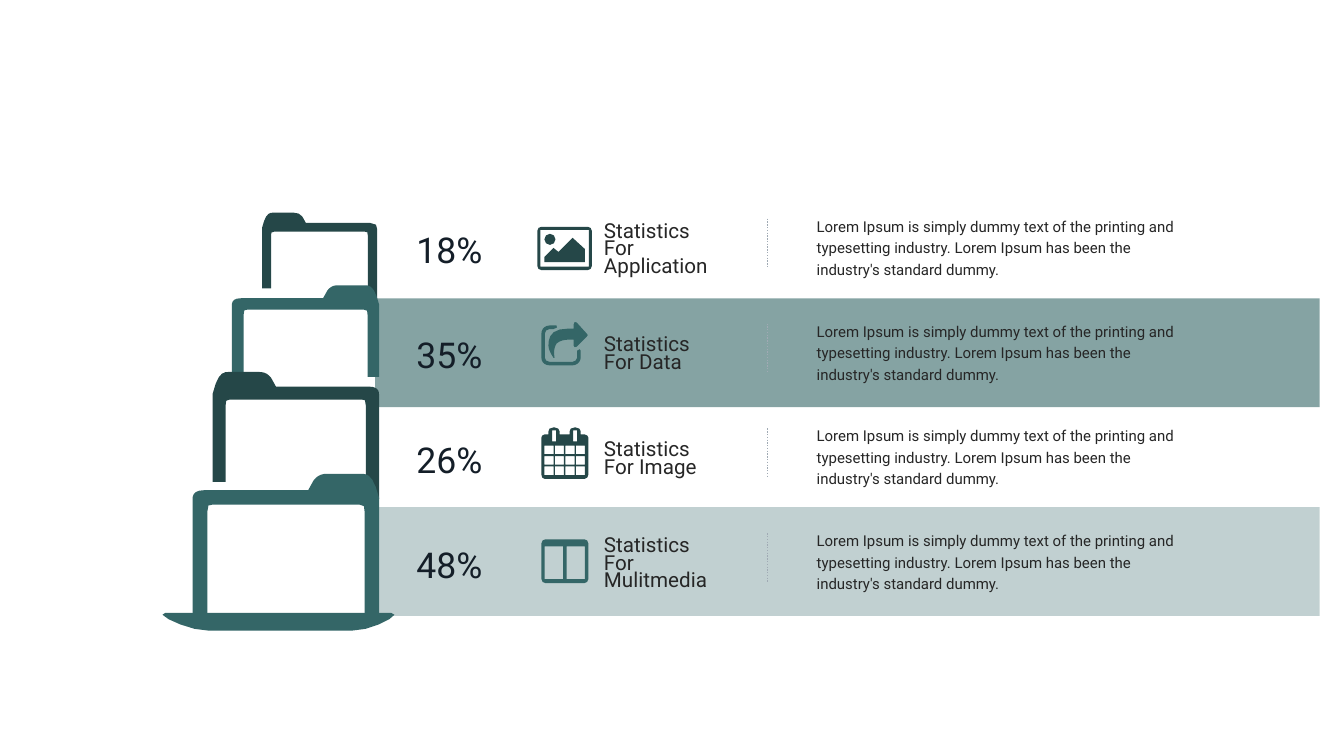
from lxml import etree
from math import dist
from pptx import Presentation
from pptx.dml.color import RGBColor
from pptx.enum.dml import MSO_LINE
from pptx.enum.shapes import MSO_CONNECTOR, MSO_SHAPE
from pptx.enum.text import MSO_ANCHOR
from pptx.oxml.ns import qn
from pptx.util import Inches, Pt

RECTANGLE = MSO_SHAPE.RECTANGLE
STRAIGHT = MSO_CONNECTOR.STRAIGHT
MIDDLE = MSO_ANCHOR.MIDDLE
DOTTED = MSO_LINE.ROUND_DOT

TEAL = RGBColor(0x34, 0x66, 0x67)
DARK_TEAL = RGBColor(0x25, 0x47, 0x48)
NAVY = RGBColor(0x14, 0x1E, 0x28)
CHARCOAL = RGBColor(0x26, 0x26, 0x26)
GREY = RGBColor(0xA0, 0xAA, 0xB4)
FONT = "Roboto"

ROW_LEFT, ROW_TOP, ROW_PITCH = 4.13, 2.13, 1.04
DESCRIPTION = ("Lorem Ipsum is simply dummy text of the printing and typesetting industry. "
               "Lorem Ipsum has been the industry's standard dummy.")
ROWS = [("18%", "For Application"), ("35%", "For Data"),
        ("26%", "For Image"), ("48%", "For Mulitmedia")]

# Top and opacity in percent
BANDS = [(5.03, 30), (2.96, 60)]

# Left, top, width, leg on the tab side, far leg, tab on the left, colour
FOLDERS = [(2.6, 2.11, 1.14, 0.75, 0.92, True, DARK_TEAL),
           (2.3, 2.83, 1.46, 0.91, 1.11, False, TEAL),
           (2.11, 3.69, 1.65, 1.09, 1.26, True, DARK_TEAL),
           (1.91, 4.7, 1.85, 1.4, 1.42, False, TEAL)]


def rectangle(left, top, right, bottom):
    return [(left, top), (right, top), (right, bottom), (left, bottom)]


def rounded(left, top, right, bottom, radius):
    """Contour of a rectangle with round corners."""
    c = radius * 0.45
    return [(left + radius, top), (right - radius, top),
            (right - c, top, right, top + c, right, top + radius),
            (right, bottom - radius),
            (right, bottom - c, right - c, bottom, right - radius, bottom),
            (left + radius, bottom),
            (left + c, bottom, left, bottom - c, left, bottom - radius),
            (left, top + radius),
            (left, top + c, left + c, top, left + radius, top)]


def flatten(contour):
    """Turn pairs (line) and sextuples (cubic curve) into plain points."""
    points = [contour[0]]
    for segment in contour[1:]:
        if len(segment) == 2:
            points.append(segment)
            continue
        corners = [points[-1], segment[:2], segment[2:4], segment[4:]]
        steps = 2 if dist(corners[0], corners[3]) < 10 else 5
        for step in range(1, steps + 1):
            t = step / steps
            weights = [(1 - t) ** 3, 3 * t * (1 - t) ** 2, 3 * t * t * (1 - t), t ** 3]
            points.append(tuple(sum(w * corner[axis] for w, corner in zip(weights, corners))
                                for axis in (0, 1)))
    return points


def add_outline(slide, left, top, contours, color):
    """Draw contours, given in hundredths of an inch, as one filled shape."""
    builder = None
    for contour in contours:
        points = [(Inches(x / 100), Inches(y / 100)) for x, y in flatten(contour)]
        if builder is None:
            builder = slide.shapes.build_freeform(*points[0])
        else:
            builder.move_to(*points[0])
        builder.add_line_segments(points[1:], close=True)
    shape = builder.convert_to_shape(Inches(left), Inches(top))
    shape.shadow.inherit = False
    shape.fill.solid()
    shape.fill.fore_color.rgb = color
    shape.line.fill.background()


def add_band(slide, left, top, width, height, opacity):
    band = slide.shapes.add_shape(RECTANGLE, Inches(left), Inches(top),
                                  Inches(width), Inches(height))
    band.shadow.inherit = False
    band.fill.solid()
    band.fill.fore_color.rgb = TEAL
    band.line.fill.background()
    color = band._element.spPr.find(qn("a:solidFill"))[0]
    etree.SubElement(color, qn("a:alpha"), val=str(opacity * 1000))


def add_text(slide, left, top, width, height, text, size, color, spacing=None):
    box = slide.shapes.add_textbox(Inches(left), Inches(top), Inches(width), Inches(height))
    frame = box.text_frame
    frame.word_wrap = True
    frame.vertical_anchor = MIDDLE
    frame.margin_left = frame.margin_right = frame.margin_top = frame.margin_bottom = 0
    frame.text = text
    for paragraph in frame.paragraphs:
        paragraph.line_spacing = spacing
        for run in paragraph.runs:
            run.font.name = FONT
            run.font.size = Pt(size)
            run.font.color.rgb = color


def add_row(slide, left, top, percentage, subject):
    add_text(slide, left, top + 0.1, 0.74, 0.49, percentage, 25.4, NAVY)
    add_text(slide, left + 1.86, top + 0.11, 1.19, 0.49,
             "Statistics\n" + subject, 14.7, CHARCOAL, 0.7)
    add_text(slide, left + 3.97, top, 3.78, 0.62, DESCRIPTION, 10.7, CHARCOAL, 1.2)
    x = Inches(left + 3.48)
    divider = slide.shapes.add_connector(STRAIGHT, x, Inches(top + 0.04), x, Inches(top + 0.53))
    divider.line.color.rgb = GREY
    divider.line.width = Pt(1)
    divider.line.dash_style = DOTTED
    etree.SubElement(divider._element.spPr, qn("a:effectLst"))


def add_folder(slide, left, top, width, tab_leg, far_leg, tab_on_left, color):
    """Draw an open folder from a profile in percent of its width."""
    tab_end, far_end = 100 * tab_leg / width, 100 * far_leg / width
    profile = [(0, 13), (3, 1, 6, 0, 9.6, 0), (27.5, 0), (31, 0, 33, 1, 35, 3.4),
               (38, 8.8), (93.5, 8.8), (99.5, 8.8, 100, 11.5, 100, 14),
               (100, far_end), (92, far_end), (92, 20),
               (92, 16.6, 91.5, 16.6, 89.5, 16.6), (10.3, 16.6),
               (7.8, 16.6, 7.8, 17.5, 7.8, 20), (7.8, tab_end), (0, tab_end)]
    contour = []
    for segment in profile:
        contour.append(tuple(
            width * (100 - value if index % 2 == 0 and not tab_on_left else value)
            for index, value in enumerate(segment)))
    add_outline(slide, left, top, [contour], color)


def add_tray(slide, left, top):
    add_outline(slide, left, top, [[(3, 0), (227, 0), (241, 0, 208, 18, 189, 17.5),
                                    (45, 17.5), (26, 18, -11, 0, 3, 0)]], TEAL)


def add_picture_icon(slide, left, top):
    mountains = [(47, 35), (7, 35), (7, 30), (16, 21), (21, 25), (35, 11), (47, 22)]
    add_outline(slide, left, top, [rounded(0, 0, 54, 43, 4), rectangle(3, 3, 51, 39.5),
                                   rounded(7, 7, 18, 18, 5.5), mountains], DARK_TEAL)


def add_share_icon(slide, left, top):
    frame = [(39, 36), (39, 40, 35, 43.5, 31, 43.5), (8, 43.5), (3, 43.5, 0, 40, 0, 36),
             (0, 12), (0, 8, 3, 4, 8, 4), (15, 4), (15.5, 6), (12, 7.5),
             (8, 7.5), (5, 7.5, 3.5, 10, 3.5, 12), (3.5, 36), (3.5, 38, 5, 40, 8, 40),
             (31, 40), (33, 40, 35.5, 38, 35.5, 36), (35.5, 29), (38, 27.5), (39, 29)]
    arrow = [(35, 25), (33, 25.5), (32, 24), (32, 18), (27, 18),
             (21, 18, 17, 20, 15, 22), (13, 25, 12, 29, 13, 36), (12, 36),
             (12, 36, 7, 29, 7, 24), (7, 16, 9, 7, 27, 7), (32, 7), (32, 3),
             (33, 0.5), (35, 1), (45, 12), (46, 13.5), (45, 15)]
    add_outline(slide, left, top, [frame, arrow], TEAL)


def add_calendar_icon(slide, left, top):
    ring_lefts = (7, 28)
    outline = [(0, 10), (0, 9, 1, 7, 3, 7)]
    for x in ring_lefts:
        outline += [(x, 7), (x, 4), (x, 2, x + 1, 0, x + 5, 0), (x + 6, 0),
                    (x + 9, 0, x + 11, 2, x + 11, 4), (x + 11, 7)]
    outline += [(43, 7), (45, 7, 46.5, 9, 46.5, 10), (46.5, 47),
                (46.5, 49, 45, 51, 43, 51), (3, 51), (1, 51, 0, 49, 0, 47)]
    slots = [rectangle(x + 3.5, 3, x + 7.5, 14) for x in ring_lefts]
    days = [rectangle(3 + 10.4 * column, 18 + 10.4 * row, 12 + 10.4 * column, 26.5 + 10.4 * row)
            for row in range(3) for column in range(4)]
    add_outline(slide, left, top, [outline] + slots + days, DARK_TEAL)


def add_columns_icon(slide, left, top):
    add_outline(slide, left, top, [rounded(0, 0, 46.5, 43.5, 4), rectangle(3.3, 7, 21.5, 39.5),
                                   rectangle(25, 7, 43.2, 39.5)], TEAL)


def main():
    presentation = Presentation()
    presentation.slide_width = Inches(13.33)
    presentation.slide_height = Inches(7.5)
    slide = presentation.slides.add_slide(presentation.slide_layouts[6])
    for top, opacity in BANDS:
        add_band(slide, 3.72, top, 9.37, 1.08, opacity)
    for index, (percentage, subject) in enumerate(ROWS):
        add_row(slide, ROW_LEFT, ROW_TOP + index * ROW_PITCH, percentage, subject)
    for folder in FOLDERS:
        add_folder(slide, *folder)
    add_tray(slide, 1.61, 6.08)
    add_picture_icon(slide, 5.33, 2.25)
    add_share_icon(slide, 5.37, 3.19)
    add_calendar_icon(slide, 5.37, 4.24)
    add_columns_icon(slide, 5.37, 5.35)
    presentation.save("out.pptx")


if __name__ == "__main__":
    main()
